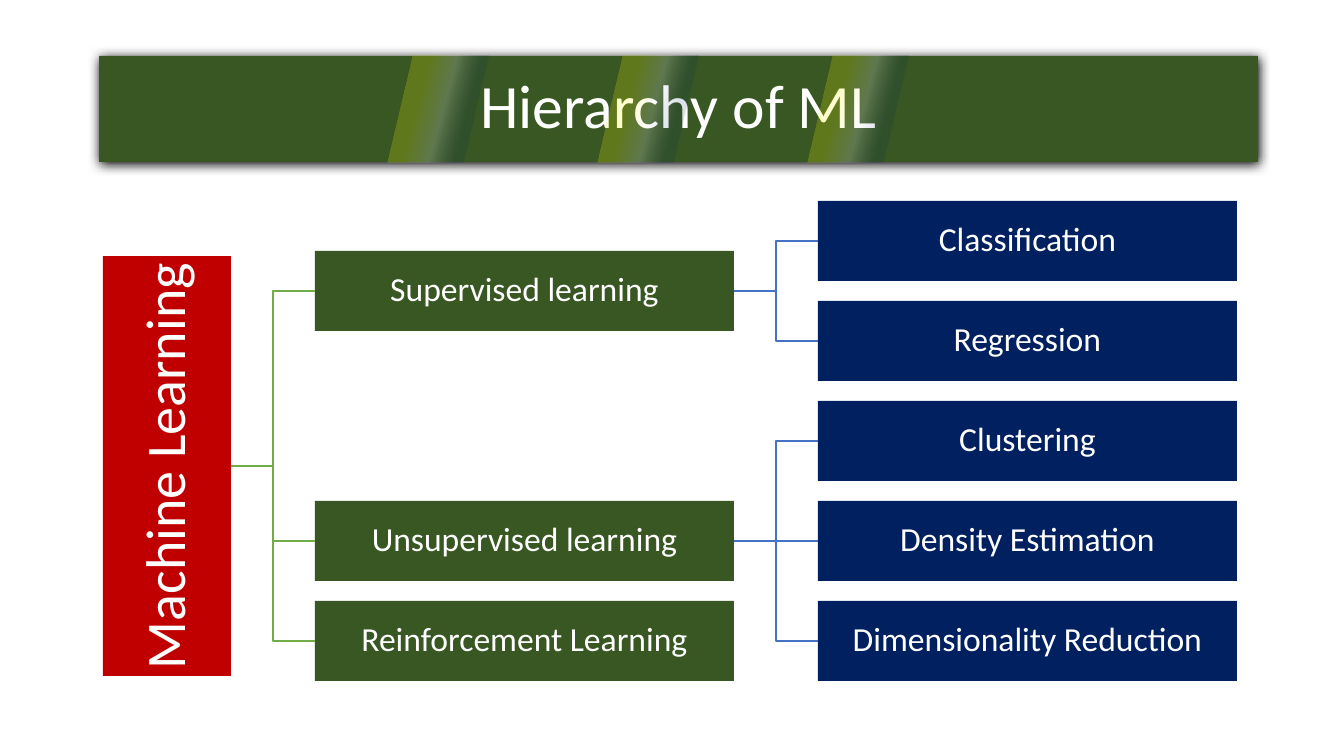
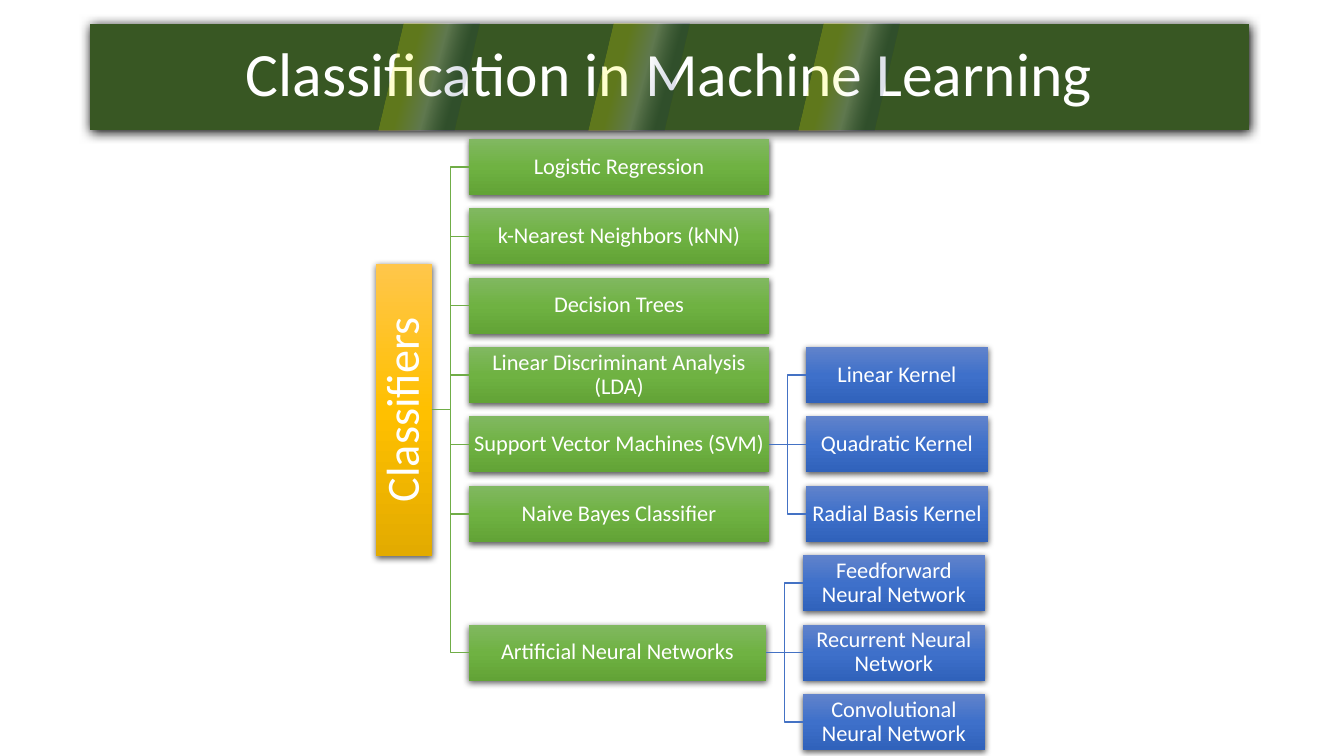
from pptx import Presentation
from pptx.dml.color import RGBColor
from pptx.enum.shapes import MSO_CONNECTOR, MSO_SHAPE
from pptx.enum.text import MSO_ANCHOR, PP_ALIGN
from pptx.oxml import parse_xml
from pptx.oxml.ns import nsdecls, qn
from pptx.util import Emu, Pt

WIDE, HIGH = 1344, 756
SCALE = 12192000 / WIDE

COLORS = {
    "band": "385723", "text": "FFFFFF", "root": "C00000", "leaf": "002060",
    "green": "70AD47", "blue": "4472C4", "black": "000000",
}
# Gradient stops: position %, colour, opacity %
GRADS = {
    "stripe": [(33, "FFFF00", 20), (54, "FFFFFF", 20), (73, "002060", 13)],
    "gold": [(0, "FFC64B", 100), (50, "FFC000", 100), (100, "E3AB00", 100)],
    "grass": [(0, "81B861", 100), (50, "6FB242", 100), (100, "62A336", 100)],
    "sky": [(0, "6183CB", 100), (50, "3E70CA", 100), (100, "3062BB", 100)],
}
# Shadows: opacity %, blur pt, distance pt
DEEP, SOFT = (100, 8.5, 1), (63, 4.5, 1.5)


def px(n):
    return Emu(round(n * SCALE))


def rgb(name):
    return RGBColor.from_string(COLORS[name])


def style(item, vals):
    for name, val in vals.items():
        setattr(item, name, val)


def blend(shape, stops, angle):
    marks = "".join(
        f'<a:gs pos="{at * 1000}"><a:srgbClr val="{tone}">'
        f'<a:alpha val="{alpha * 1000}"/></a:srgbClr></a:gs>'
        for at, tone, alpha in stops)
    fill = parse_xml(
        f'<a:gradFill {nsdecls("a")} rotWithShape="1"><a:gsLst>{marks}</a:gsLst>'
        f'<a:lin ang="{angle * 60000}" scaled="0"/></a:gradFill>')
    shape._element.spPr.find(qn("a:prstGeom")).addnext(fill)


def shade(shape, alpha, blur, dist):
    glow = parse_xml(
        f'<a:outerShdw {nsdecls("a")} blurRad="{Pt(blur)}" dist="{Pt(dist)}" '
        f'dir="5400000" algn="ctr" rotWithShape="0"><a:srgbClr val="{COLORS["black"]}">'
        f'<a:alpha val="{alpha * 1000}"/></a:srgbClr></a:outerShdw>')
    shape._element.spPr.find(qn("a:effectLst")).append(glow)


def block(slide, box, fill, kind=MSO_SHAPE.RECTANGLE, angle=90, shadow=None):
    shape = slide.shapes.add_shape(kind, *map(px, box))
    shape.shadow.inherit = False
    shape.line.fill.background()
    if fill in GRADS:
        blend(shape, GRADS[fill], angle)
    else:
        shape.fill.solid()
        shape.fill.fore_color.rgb = rgb(fill)
    if shadow:
        shade(shape, *shadow)
    return shape


def label(shape, text, size, pad, upright=False):
    frame = shape.text_frame
    style(frame, {
        "word_wrap": True, "vertical_anchor": MSO_ANCHOR.MIDDLE,
        **{f"margin_{side}": px(pad) for side in ("left", "right", "top", "bottom")},
    })
    if upright:
        frame._txBody.bodyPr.set("vert", "vert270")
    para = frame.paragraphs[0]
    style(para, {"alignment": PP_ALIGN.CENTER, "line_spacing": 0.9})
    run = para.add_run()
    run.text = text
    style(run.font, {"size": Pt(size), "name": "Calibri"})
    run.font.color.rgb = rgb("text")


def link(slide, start, end, tone):
    level = abs(start.top + start.height / 2 - end.top - end.height / 2) < px(1)
    kind = MSO_CONNECTOR.STRAIGHT if level else MSO_CONNECTOR.ELBOW
    line = slide.shapes.add_connector(kind, 0, 0, 0, 0)
    line.begin_connect(start, 3)
    line.end_connect(end, 1)
    line.line.width = Pt(1)
    line.line.color.rgb = rgb(tone)
    line._element.spPr.append(parse_xml(f'<a:effectLst {nsdecls("a")}/>'))


def banner(slide, left, top, title):
    """Title band with three slanted stripes."""
    band = block(slide, (left, top, 1159, 106), "band", shadow=DEEP)
    label(band, title, 44, 5)
    for i in range(3):
        block(slide, (left + 289 + 210 * i, top, 100, 106), "stripe",
              MSO_SHAPE.PARALLELOGRAM, 15)


def tree(slide, box, look, root, nodes):
    """Root, nodes at given row slots, and leaves centred on their node."""
    left, top, high, rows = box
    tall, gap, pad = look["tall"], look["gap"], look["pad"]
    step = (high - tall) / (rows - 1)

    def cell(x, slot, wide, fill, text):
        shape = block(slide, (x, top + slot * step, wide, tall), fill,
                      shadow=look["shadow"])
        label(shape, text, look["size"], pad)
        return shape

    # Root, midway between the first and last node
    wide, deep = look["root"]
    mid = top + tall / 2 + step * (nodes[0][0] + nodes[-1][0]) / 2
    trunk = block(slide, (left, mid - deep / 2, wide, deep), look["fills"][0],
                  shadow=look["shadow"])
    label(trunk, root, look["big"], pad, upright=True)

    # Nodes and their leaves
    x = left + wide + gap
    for slot, width, text, leaves in nodes:
        node = cell(x, slot, width, look["fills"][1], text)
        link(slide, trunk, node, "green")
        first = slot - (len(leaves) - 1) / 2
        for i, name in enumerate(leaves):
            leaf = cell(x + width + gap, first + i, look["leaf"],
                        look["fills"][2], name)
            link(slide, node, leaf, "blue")


FLAT = {"tall": 80, "gap": 84, "pad": 2, "root": (128, 420), "leaf": 419,
        "size": 24, "big": 40, "shadow": None, "fills": ("root", "band", "leaf")}
GLOSS = {"tall": 56, "gap": 37, "pad": 1, "root": (56, 292), "leaf": 182,
         "size": 16, "big": 33, "shadow": SOFT, "fills": ("gold", "grass", "sky")}

# Nodes: row slot, width, text, leaves
FIELDS = [
    (0.5, 419, "Supervised learning", ["Classification", "Regression"]),
    (3, 419, "Unsupervised learning",
     ["Clustering", "Density Estimation", "Dimensionality Reduction"]),
    (4, 419, "Reinforcement Learning", []),
]
MODELS = [
    (0, 300, "Logistic Regression", []),
    (1, 300, "k-Nearest Neighbors (kNN)", []),
    (2, 300, "Decision Trees", []),
    (3, 300, "Linear Discriminant Analysis (LDA)", []),
    (4, 300, "Support Vector Machines (SVM)",
     ["Linear Kernel", "Quadratic Kernel", "Radial Basis Kernel"]),
    (5, 300, "Naive Bayes Classifier", []),
    (7, 297, "Artificial Neural Networks",
     ["Feedforward Neural Network", "Recurrent Neural Network",
      "Convolutional Neural Network"]),
]


def main():
    deck = Presentation()
    style(deck, {"slide_width": px(WIDE), "slide_height": px(HIGH)})
    blank = deck.slide_layouts[6]

    # Hierarchy
    slide = deck.slides.add_slide(blank)
    tree(slide, (103, 201, 480, 5), FLAT, "Machine Learning", FIELDS)
    banner(slide, 99, 56, "Hierarchy of ML")

    # Classifiers
    slide = deck.slides.add_slide(blank)
    banner(slide, 90, 24, "Classification in Machine Learning")
    tree(slide, (376, 139, 611, 9), GLOSS, "Classifiers", MODELS)

    deck.save("out.pptx")


if __name__ == "__main__":
    main()
